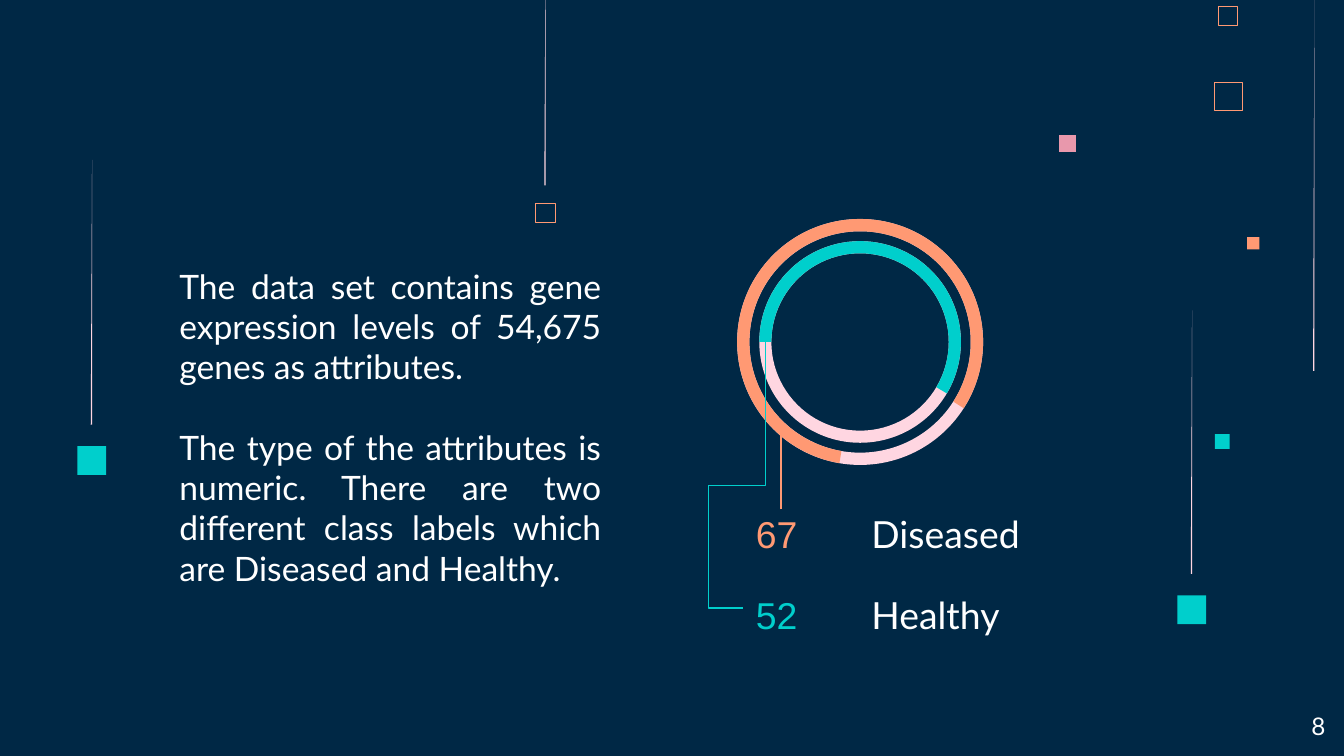
from pptx import Presentation
from pptx.dml.color import RGBColor
from pptx.enum.shapes import MSO_CONNECTOR, MSO_SHAPE
from pptx.enum.text import MSO_ANCHOR, PP_ALIGN
from pptx.oxml.ns import qn
from pptx.util import Inches, Pt
from lxml import etree

NAVY = RGBColor(0x00, 0x28, 0x45)
TEAL = RGBColor(0x00, 0xCF, 0xCC)
CORAL = RGBColor(0xFF, 0x99, 0x73)
ROSE = RGBColor(0xE8, 0x98, 0xAC)
BLUSH = RGBColor(0xFF, 0xD6, 0xE1)
WHITE = RGBColor(0xFF, 0xFF, 0xFF)

RECT, DONUT, ARC = MSO_SHAPE.RECTANGLE, MSO_SHAPE.DONUT, MSO_SHAPE.BLOCK_ARC
STRAIGHT, ELBOW = MSO_CONNECTOR.STRAIGHT, MSO_CONNECTOR.ELBOW
LEFT, RIGHT, JUSTIFY = PP_ALIGN.LEFT, PP_ALIGN.RIGHT, PP_ALIGN.JUSTIFY
TOP = MSO_ANCHOR.TOP

WIDE = Inches(10)
HIGH = WIDE * 9 // 16
CELL = WIDE / 100  # the slide is a grid of 100 square columns

HUB = (64, 25.45)  # centre of both rings

BODY = (
    "The data set contains gene expression levels of 54,675 genes as attributes. ",
    "The type of the attributes is numeric. There are two different class labels "
    "which are Diseased and Healthy.",
)


def grid(*cells):
    return [round(c * CELL) for c in cells]


def paint(shape, fill=None, line=None, width=0.32):
    shape.shadow.inherit = False
    if fill is None:
        shape.fill.background()
    else:
        shape.fill.solid()
        shape.fill.fore_color.rgb = fill
    if line is None:
        shape.line.fill.background()
    else:
        shape.line.color.rgb = line
        shape.line.width = Pt(width)


def square(slide, left, top, side, **look):
    paint(slide.shapes.add_shape(RECT, *grid(left, top, side, side)), **look)


def streak(slide, left, top, base):
    """Draw a sliver that thins out towards its top."""
    tip, *rest = [tuple(grid(*p)) for p in
                  ((left + 0.1, top), (left, base), (left + 0.1, base))]
    pen = slide.shapes.build_freeform(*tip)
    pen.add_line_segments(rest)
    paint(pen.convert_to_shape(), fill=BLUSH)


def ring(slide, kind, size, fill, *adjust):
    x, y = HUB
    shape = slide.shapes.add_shape(
        kind, *grid(x - size / 2, y - size / 2, size, size))
    for i, value in enumerate(adjust):
        shape.adjustments[i] = value
    paint(shape, fill=fill)


def write(frame, *texts, size=20, font="Lato", color=WHITE, align=LEFT, gap=0):
    """Fill a text frame with paragraphs, set apart by gap points."""
    frame.word_wrap = True
    frame.vertical_anchor = TOP
    frame.margin_left = frame.margin_right = Inches(0.1)
    frame.margin_top = frame.margin_bottom = Inches(0.1)
    for i, text in enumerate(texts):
        para = frame.add_paragraph() if i else frame.paragraphs[0]
        para.alignment = align
        para.space_before = Pt(gap if i else 0)
        run = para.add_run()
        run.text = text
        run.font.size = Pt(size)
        run.font.name = font
        run.font.color.rgb = color


def label(slide, text, left, top, wide, **style):
    box = slide.shapes.add_textbox(*grid(left, top, wide, 4.3))
    write(box.text_frame, text, **style)


def body(slide):
    title, holder = slide.placeholders
    title.element.getparent().remove(title.element)
    holder.left, holder.top, holder.width, holder.height = grid(
        12.35, 18.75, 33.4, 28.3)
    write(holder.text_frame, *BODY, size=18, align=JUSTIFY, gap=21.6)
    for para in holder.text_frame.paragraphs:
        props = para._p.get_or_add_pPr()
        props.set("marL", "0")
        props.set("indent", "0")
        etree.SubElement(props, qn("a:buNone"))


def link(slide, kind, start, end, color):
    line = slide.shapes.add_connector(kind, *grid(*start, *end))
    line.line.color.rgb = color
    line.line.width = Pt(0.75)
    etree.SubElement(line._element.spPr, qn("a:effectLst"))
    return line


def bend(line, *adjust):
    """Turn an elbow by a quarter and give it three corners."""
    props = line._element.spPr
    props.find(qn("a:xfrm")).set("rot", "5400000")
    geom = props.find(qn("a:prstGeom"))
    geom.set("prst", "bentConnector4")
    guides = geom.find(qn("a:avLst"))
    if guides is None:
        guides = etree.SubElement(geom, qn("a:avLst"))
    for i, value in enumerate(adjust, 1):
        etree.SubElement(guides, qn("a:gd"), name=f"adj{i}",
                         fmla=f"val {round(value * 100000)}")


def decor(slide):
    for left, top, side, fill in (
            (78.8, 10.05, 1.25, ROSE), (90.4, 32.3, 1.1, TEAL),
            (92.8, 17.65, 0.9, CORAL), (87.6, 44.3, 2.15, TEAL),
            (5.75, 33.2, 2.15, TEAL)):
        square(slide, left, top, side, fill=fill)
    for left, top, side, width in (
            (90.35, 6.1, 2.1, 0.45), (90.65, 0.45, 1.45, 0.32),
            (39.85, 15.1, 1.45, 0.32)):
        square(slide, left, top, side, line=CORAL, width=width)
    for left, top, base in (
            (40.5, -4.8, 13.8), (97.7, 0, 27.6),
            (88.6, 23.1, 42.7), (6.75, 11.9, 31.6)):
        streak(slide, left, top, base)


def rings(slide):
    ring(slide, DONUT, 18.3, BLUSH, 0.05)
    ring(slide, DONUT, 15, BLUSH, 0.06)
    ring(slide, ARC, 18.3, CORAL, 59.81, 19.57, 0.05)
    ring(slide, ARC, 15, TEAL, 108, 18.4, 0.06)


def legend(slide):
    rows = (("67", "Diseased", CORAL), ("52", "Healthy", TEAL))
    for i, (count, name, color) in enumerate(rows):
        top = 37.05 + 6.05 * i
        label(slide, count, 55.25, top, 9.2, font="Arial", color=color)
        label(slide, name, 63.85, top, 14.5)
    bend(link(slide, ELBOW, (46.2, 34.5), (66, 36.2), TEAL), 0.54, 2.5)
    link(slide, STRAIGHT, (58.1, 37.9), (58.1, 32.2), CORAL)


def main():
    deck = Presentation()
    deck.slide_width, deck.slide_height = WIDE, HIGH
    slide = deck.slides.add_slide(deck.slide_layouts[1])
    back = slide.background.fill
    back.solid()
    back.fore_color.rgb = NAVY
    decor(slide)
    body(slide)
    rings(slide)
    legend(slide)
    label(slide, "8", 93.6, 51.9, 6, size=13, align=RIGHT)
    deck.save("out.pptx")


if __name__ == "__main__":
    main()
